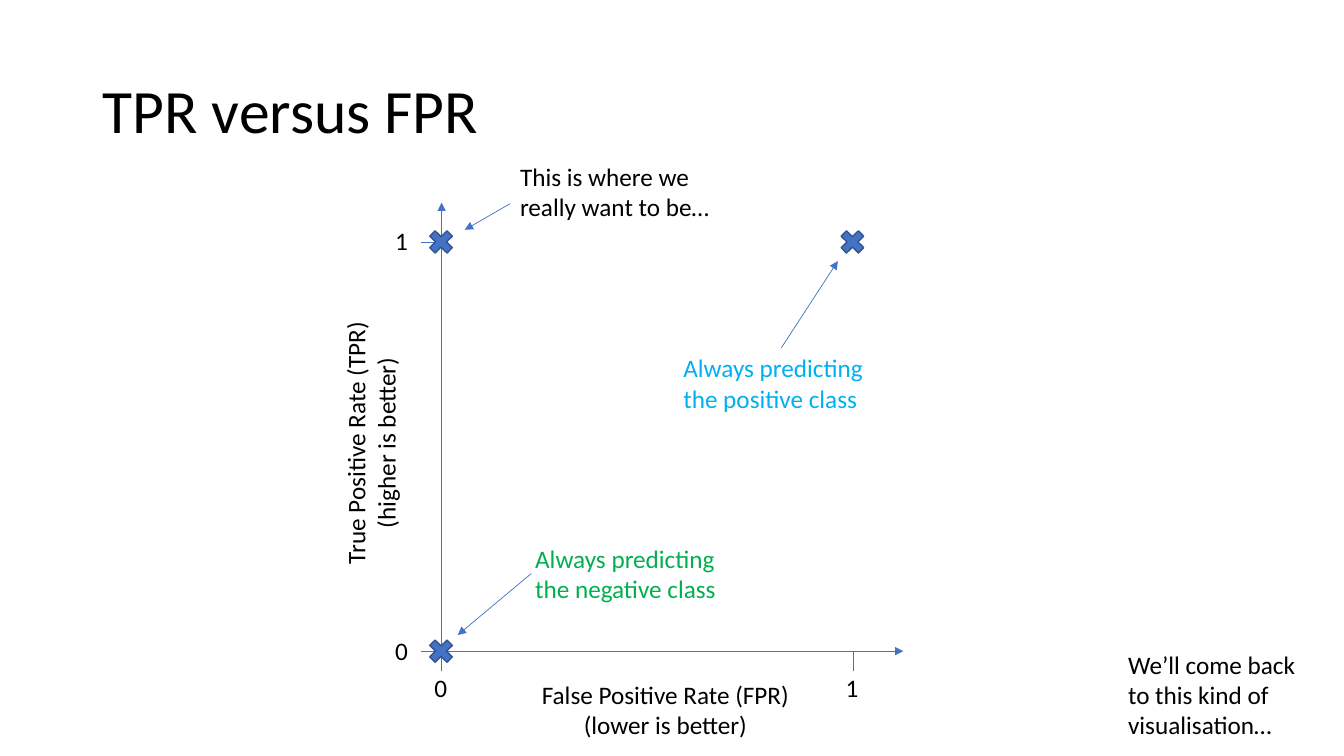
"""Builds the TPR versus FPR slide with its annotated axes."""
from dataclasses import dataclass

from lxml import etree
from pptx import Presentation
from pptx import util as u
from pptx.dml.color import RGBColor
from pptx.enum import shapes, text
from pptx.oxml.ns import qn


@dataclass(frozen=True)
class Theme:
    font: str = "Calibri"
    ink: str = "000000"
    accent: str = "4472C4"
    outline: str = "325491"
    negative: str = "00B050"
    positive: str = "00B0F0"
    title_size: int = 44
    body_size: int = 18
    line_width: float = 0.5
    outline_width: float = 1


class SlideBuilder:
    """Draws styled elements on one slide, with lengths in px."""

    PX = 9144

    def __init__(self, slide, theme):
        self.slide = slide
        self.theme = theme

    def emu(self, *lengths):
        return [u.Emu(length * self.PX) for length in lengths]

    def label(self, place, *lines, color=None, size=None, align=text.PP_ALIGN.LEFT,
              anchor=text.MSO_ANCHOR.TOP, wrap=True, rotation=0, spacing=1.0):
        box = self.slide.shapes.add_textbox(*self.emu(*place))
        box.rotation = rotation
        frame = box.text_frame
        frame.word_wrap = wrap
        frame.vertical_anchor = anchor
        for index, line in enumerate(lines):
            para = frame.add_paragraph() if index else frame.paragraphs[0]
            para.alignment = align
            para.line_spacing = spacing
            span = para.add_run()
            span.text = line
            span.font.name = self.theme.font
            span.font.size = u.Pt(size or self.theme.body_size)
            span.font.color.rgb = RGBColor.from_string(color or self.theme.ink)

    def line(self, start, end, arrow=False):
        connector = self.slide.shapes.add_connector(
            shapes.MSO_CONNECTOR.STRAIGHT, *self.emu(*start, *end))
        connector.line.color.rgb = RGBColor.from_string(self.theme.accent)
        connector.line.width = u.Pt(self.theme.line_width)
        if arrow:
            outline = connector.line._get_or_add_ln()
            etree.SubElement(outline, qn("a:tailEnd"), type="triangle")
        etree.SubElement(connector._element.spPr, qn("a:effectLst"))

    def marker(self, center):
        x, y = center
        cross = self.slide.shapes.add_shape(
            shapes.MSO_SHAPE.MATH_MULTIPLY, *self.emu(x - 17, y - 16, 33, 32))
        cross.shadow.inherit = False
        cross.fill.solid()
        cross.fill.fore_color.rgb = RGBColor.from_string(self.theme.accent)
        cross.line.color.rgb = RGBColor.from_string(self.theme.outline)
        cross.line.width = u.Pt(self.theme.outline_width)


def main():
    deck = Presentation()
    deck.slide_width, deck.slide_height = u.Inches(13.33), u.Inches(7.5)
    theme = Theme()
    page = SlideBuilder(deck.slides.add_slide(deck.slide_layouts[6]), theme)

    left, right, top, bottom = 438, 846, 240, 646
    tick = 20

    page.label((92, 40, 1150, 145), "TPR versus FPR", size=theme.title_size,
               anchor=text.MSO_ANCHOR.MIDDLE, spacing=0.9)

    page.line((left, bottom), (left, 201), arrow=True)
    page.line((left, bottom), (896, bottom), arrow=True)
    page.label((500, 669, 320, 71), "False Positive Rate (FPR)", "(lower is better)",
               align=text.PP_ALIGN.CENTER)
    page.label((208, 404, 320, 71), "True Positive Rate (TPR)", "(higher is better)",
               align=text.PP_ALIGN.CENTER, rotation=270)

    for value, x, y in (("0", left, bottom), ("1", right, top)):
        page.line((x, bottom + tick), (x, bottom))
        page.line((left, y), (left - tick, y))
        page.label((x - 17, bottom + 16, 33, 40), value, wrap=False)
        page.label((left - 56, y - 21, 33, 40), value, wrap=False)

    for center in ((left, bottom), (right, top), (left, top)):
        page.marker(center)

    notes = (
        ((521, 534, 214, 71), "Always predicting the negative class", theme.negative),
        ((668, 345, 214, 71), "Always predicting the positive class", theme.positive),
        ((506, 155, 214, 71), "This is where we really want to be…", theme.ink),
        ((1109, 639, 188, 101), "We’ll come back to this kind of visualisation…", theme.ink),
    )
    for place, wording, color in notes:
        page.label(place, wording, color=color)

    for start, end in (((527, 569), (454, 630)),
                       ((775, 345), (831, 259)),
                       ((506, 202), (461, 228))):
        page.line(start, end, arrow=True)

    deck.save("out.pptx")


if __name__ == "__main__":
    main()
